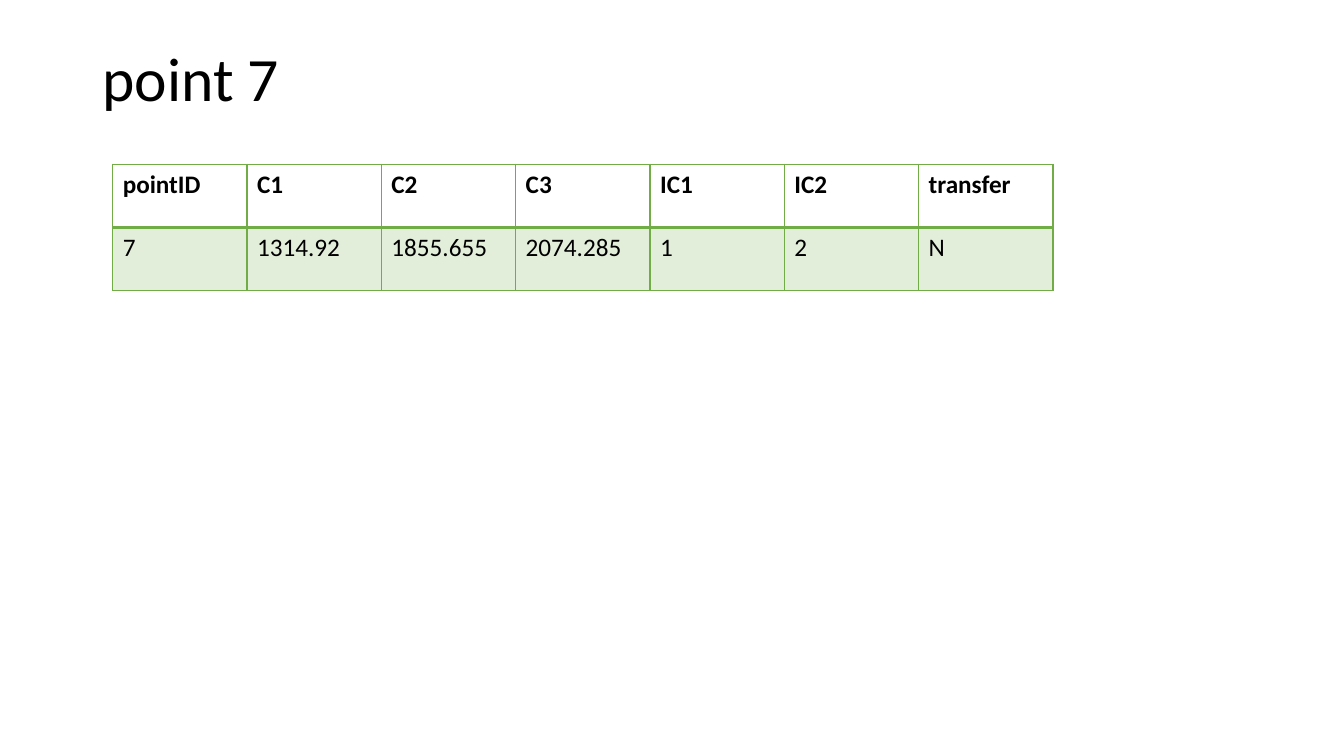
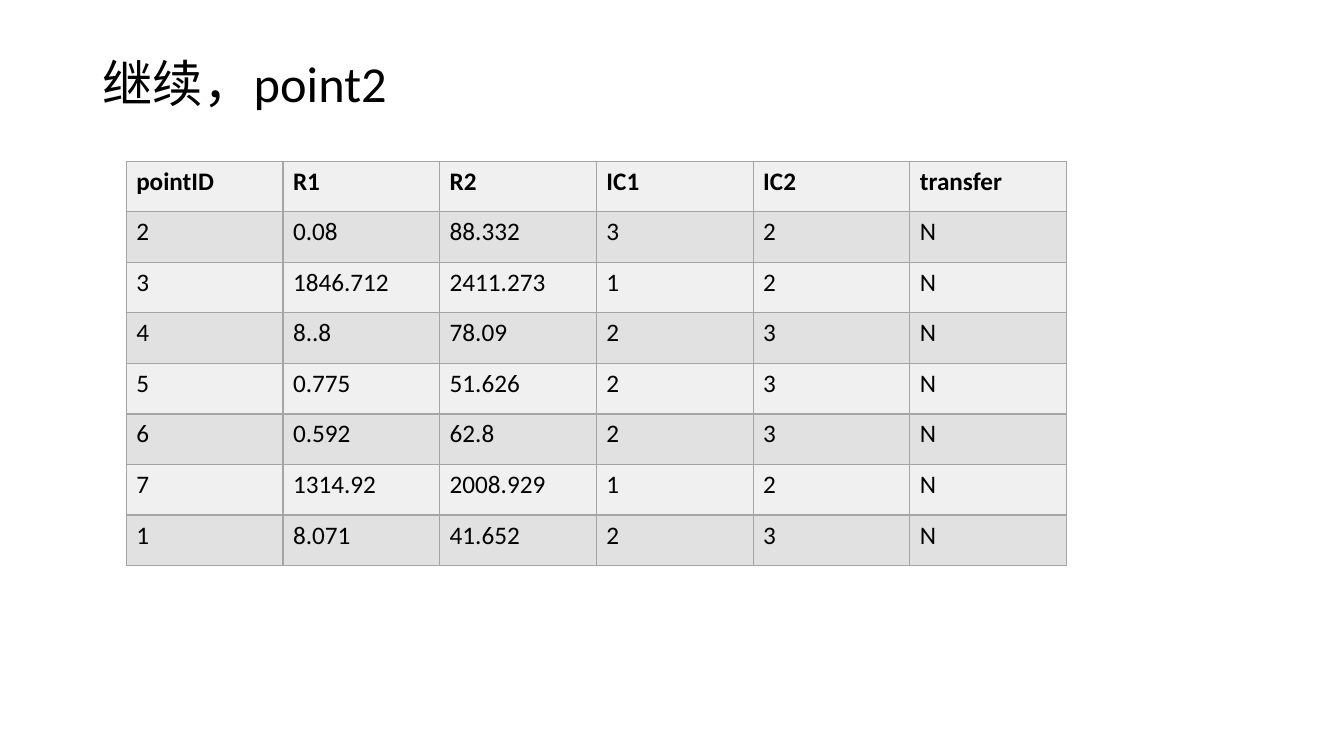
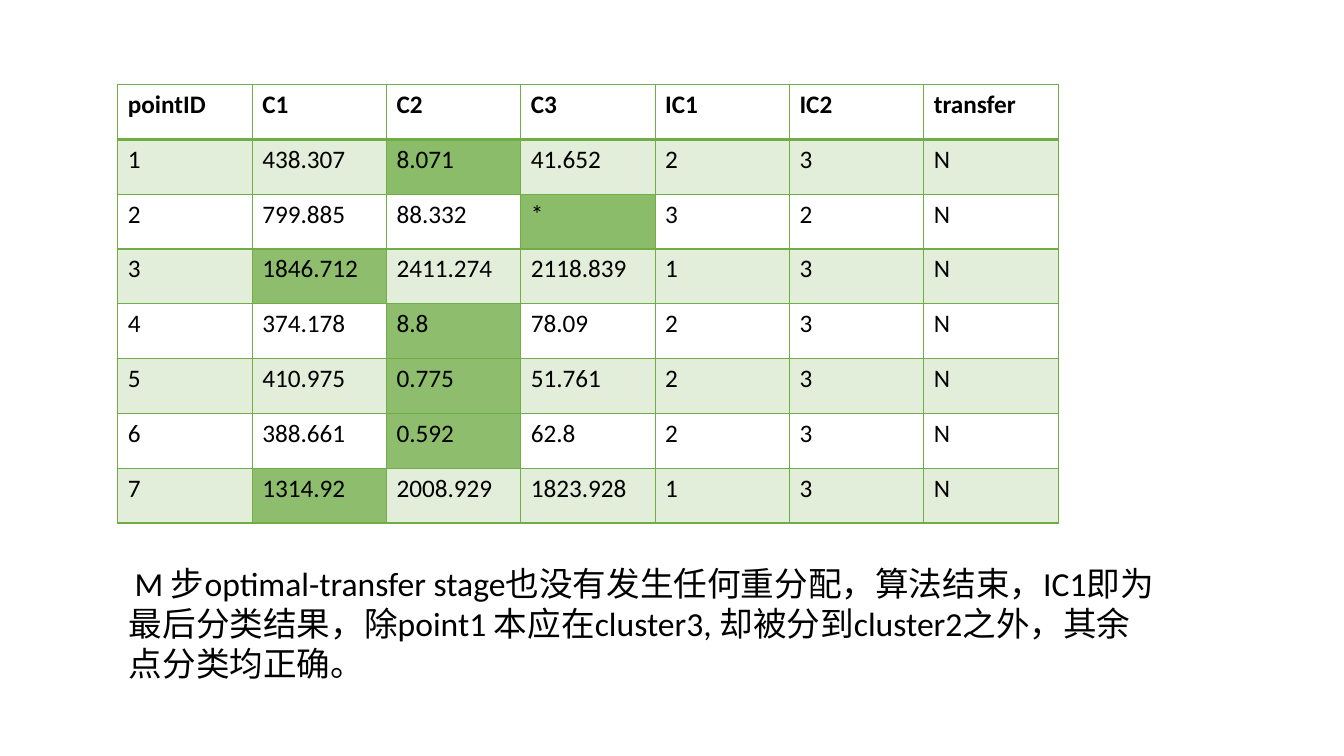
from lxml.etree import SubElement
from pptx import Presentation
from pptx.dml.color import RGBColor
from pptx.enum.text import MSO_ANCHOR as Anchor, MSO_AUTO_SIZE as Fit, PP_ALIGN as Align
from pptx.oxml import parse_xml
from pptx.oxml.ns import nsdecls, qn
from pptx.util import Cm, Pt

FONT = "Calibri"
BLACK, GREEN, GREY = "000000", "70AD47", "A5A5A5"
LIGHT, DARK = "F0F0F0", "E1E1E1"
PLAIN = "{2D5ABB26-0587-4C30-8999-92F81FD0307C}"


def style(run, size, bold=False):
    font = run.font
    font.name, font.size, font.bold = FONT, Pt(size), bold
    font.color.rgb = RGBColor.from_string(BLACK)


def paint(cell, color, line, base, alpha=None):
    props = cell._tc.get_or_add_tcPr()
    for side in "LRTB":
        width = Pt(base if side == "B" else 1)
        props.append(parse_xml(
            f'<a:ln{side} {nsdecls("a")} w="{width}"><a:solidFill>'
            f'<a:srgbClr val="{line}"/></a:solidFill></a:ln{side}>'))
    if color is None:
        cell.fill.background()
        return
    cell.fill.solid()
    cell.fill.fore_color.rgb = RGBColor.from_string(color)
    if alpha:
        tint = props.find(qn("a:solidFill")).find(qn("a:srgbClr"))
        SubElement(tint, qn("a:alpha")).set("val", str(alpha * 1000))


pages = [
    dict(title="point 7", size=44, tail="", high=2.11, line=GREEN,
         at=(2.84, 4.14), tall=3.18, marks={}, rows="""
pointID C1 C2 C3 IC1 IC2 transfer
7 1314.92 1855.655 2074.285 1 2 N"""),
    dict(title="继续，point2", size=36, tail=" ", high=2.16, line=GREY,
         at=(3.18, 4.06), tall=10.2, marks={}, rows="""
pointID R1 R2 IC1 IC2 transfer
2 0.08 88.332 3 2 N
3 1846.712 2411.273 1 2 N
4 8..8 78.09 2 3 N
5 0.775 51.626 2 3 N
6 0.592 62.8 2 3 N
7 1314.92 2008.929 1 2 N
1 8.071 41.652 2 3 N"""),
    dict(title=None, line=GREEN, at=(2.97, 2.13), tall=11.05,
         marks={(1, 2): 81, (2, 3): 81, (3, 1): 79, (4, 2): 79,
                (5, 2): 79, (6, 2): 79, (7, 1): 79}, rows="""
pointID C1 C2 C3 IC1 IC2 transfer
1 438.307 8.071 41.652 2 3 N
2 799.885 88.332 * 3 2 N
3 1846.712 2411.274 2118.839 1 3 N
4 374.178 8.8 78.09 2 3 N
5 410.975 0.775 51.761 2 3 N
6 388.661 0.592 62.8 2 3 N
7 1314.92 2008.929 1823.928 1 3 N"""),
]

deck = Presentation()
deck.slide_width, deck.slide_height = Cm(33.87), Cm(19.05)

for page in pages:
    slide = deck.slides.add_slide(deck.slide_layouts[5 if page["title"] else 6])
    if page["title"]:
        title = slide.shapes.title
        title.left, title.top = Cm(2.33), Cm(1.01)
        title.width, title.height = Cm(29.21), Cm(page["high"])
        frame = title.text_frame
        frame.text = page["title"]
        frame.auto_size, frame.vertical_anchor = Fit.NONE, Anchor.MIDDLE
        para = frame.paragraphs[0]
        para.alignment, para.line_spacing = Align.LEFT, 0.9
        style(para.runs[0], page["size"])
        if page["tail"]:
            tail = para.add_run()
            tail.text = page["tail"]
            style(tail, 44)

    rows = [row.split() for row in page["rows"].strip().splitlines()]
    left, top = page["at"]
    shape = slide.shapes.add_table(len(rows), len(rows[0]), Cm(left), Cm(top),
                                   Cm(23.7), Cm(page["tall"]))
    table = shape.table
    table.horz_banding = False
    next(table._tbl.iter(qn("a:tableStyleId"))).text = PLAIN
    for r, row in enumerate(rows):
        for c, text in enumerate(row):
            cell = table.cell(r, c)
            cell.text = text
            style(cell.text_frame.paragraphs[0].runs[0], 18, r == 0)
            if page["line"] == GREY:
                paint(cell, DARK if r % 2 else LIGHT, GREY, 1)
            else:
                alpha = page["marks"].get((r, c), 20 if r % 2 else None)
                paint(cell, GREEN if alpha else None, GREEN, 1 if r else 2, alpha)

note = slide.shapes.add_textbox(Cm(3), Cm(14.05), Cm(26.42), Cm(3.3))
note.text_frame.word_wrap = True
note.text_frame.auto_size = Fit.SHAPE_TO_FIT_TEXT
para = note.text_frame.paragraphs[0]
for text, size in [
    (" ", 18),
    ("M 步optimal-transfer stage也没有发生任何重分配，算法结束，IC1即为最后分类结果，"
     "除point1 本应在cluster3, 却被分到cluster2之外，其余点分类均正确。", 24),
]:
    run = para.add_run()
    run.text = text
    style(run, size)

deck.save("out.pptx")
